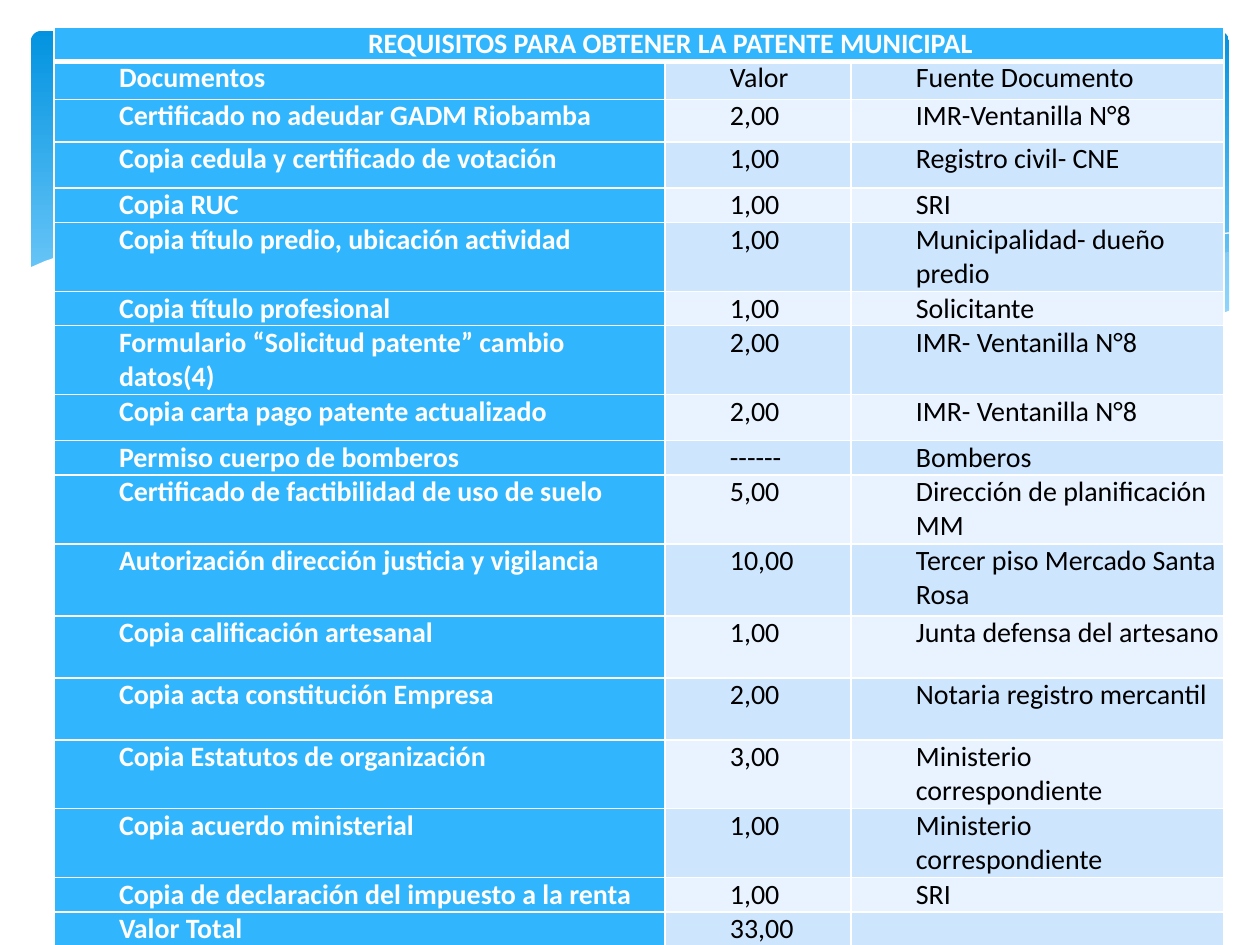
from typing import NamedTuple, Optional

from lxml import etree
from pptx import Presentation
from pptx import util as u
from pptx.dml.color import RGBColor
from pptx.enum import shapes, text
from pptx.oxml.ns import qn

EMU_PER_PX = 914400 / 126
FONT = "Calibri"
FONT_SIZE = u.Pt(16)
WHITE = RGBColor(0xFF, 0xFF, 0xFF)
BLACK = RGBColor(0, 0, 0)
BLUE = RGBColor(0x31, 0xB6, 0xFD)
BAND_DARK = RGBColor(0xCE, 0xE5, 0xFE)
BAND_LIGHT = RGBColor(0xE8, 0xF3, 0xFF)
BANNER_TOP = RGBColor(0x02, 0x93, 0xE0)
BANNER_BOTTOM = RGBColor(0x83, 0xD3, 0xFE)
WAVE = RGBColor(0xC6, 0xE7, 0xFC)


class Curve(NamedTuple):
    points: list[tuple[int, int]]
    fill: Optional[RGBColor] = None
    opacity: int = 100


class Row(NamedTuple):
    height: int
    document: str
    value: str
    source: str


CURVES = [
    Curve([(1229, 252), (1194, 257), (1142, 268), (1085, 281), (1014, 299), (919, 319),
           (833, 334), (888, 341), (954, 348), (1026, 350), (1087, 347), (1150, 336),
           (1196, 324), (1230, 311), (1230, 252)], WAVE, 29),
    Curve([(1125, 344), (1055, 334), (977, 320), (890, 302), (793, 280), (717, 262),
           (648, 249), (586, 241), (529, 236), (455, 233), (413, 236), (360, 241),
           (431, 251), (509, 266), (566, 280), (668, 302), (757, 321), (838, 335),
           (910, 345), (974, 349), (1031, 350), (1080, 349)], WAVE, 40),
    Curve([(389, 246), (433, 239), (505, 236), (591, 238), (672, 244), (766, 257),
           (876, 276), (1002, 304), (1143, 343)]),
    Curve([(772, 324), (876, 296), (978, 272), (1091, 251), (1164, 239), (1229, 233)]),
    Curve([(1231, 310), (1197, 323), (1147, 336), (1087, 345), (1019, 349), (937, 345),
           (842, 334), (730, 315), (599, 286), (493, 261), (398, 244), (315, 234),
           (243, 232), (184, 233), (120, 241), (74, 251), (45, 261), (29, 268),
           (29, 415), (1231, 415)], WHITE),
]

TITLE = "REQUISITOS PARA OBTENER LA PATENTE MUNICIPAL"
TITLE_HEIGHT = 34
COLUMN_WIDTHS = [611, 186, 373]
ROWS = [
    Row(38, "Documentos", "Valor", "Fuente Documento"),
    Row(43, "Certificado no adeudar GADM Riobamba", "2,00", "IMR-Ventanilla N°8"),
    Row(46, "Copia cedula y certificado de votación", "1,00", "Registro civil- CNE"),
    Row(34, "Copia RUC", "1,00", "SRI"),
    Row(69, "Copia título predio, ubicación actividad", "1,00", "Municipalidad- dueño predio"),
    Row(34, "Copia título profesional", "1,00", "Solicitante"),
    Row(69, "Formulario “Solicitud patente” cambio datos(4)", "2,00", "IMR- Ventanilla N°8"),
    Row(46, "Copia carta pago patente actualizado", "2,00", "IMR- Ventanilla N°8"),
    Row(34, "Permiso cuerpo de bomberos", "------", "Bomberos"),
    Row(69, "Certificado de factibilidad de uso de suelo", "5,00", "Dirección de planificación MM"),
    Row(72, "Autorización dirección justicia y vigilancia", "10,00", "Tercer piso Mercado Santa Rosa"),
    Row(62, "Copia calificación artesanal", "1,00", "Junta defensa del artesano"),
    Row(62, "Copia acta constitución Empresa", "2,00", "Notaria registro mercantil"),
    Row(69, "Copia Estatutos de organización", "3,00", "Ministerio correspondiente"),
    Row(69, "Copia acuerdo ministerial", "1,00", "Ministerio correspondiente"),
    Row(34, "Copia de declaración del impuesto a la renta", "1,00", "SRI"),
    Row(34, "Valor Total", "33,00", ""),
]


def px(length: int) -> int:
    return round(length * EMU_PER_PX)


def draw_banner(slide) -> None:
    shape = slide.shapes.add_shape(
        shapes.MSO_SHAPE.ROUNDED_RECTANGLE, px(31), px(31), px(1198), px(340))
    shape.shadow.inherit = False
    shape.adjustments[0] = 0.03
    shape.line.fill.background()
    shape.fill.gradient()
    shape.fill.gradient_angle = 270
    stops = shape.fill.gradient_stops
    for stop, position, color in zip(stops, (0, 0.9), (BANNER_TOP, BANNER_BOTTOM)):
        stop.position = position
        stop.color.rgb = color


def draw_curve(slide, curve: Curve) -> None:
    builder = slide.shapes.build_freeform(*curve.points[0], scale=EMU_PER_PX)
    builder.add_line_segments(curve.points[1:], close=curve.fill is not None)
    shape = builder.convert_to_shape()
    shape.shadow.inherit = False
    if curve.fill is None:
        shape.fill.background()
        shape.line.color.rgb = WHITE
        shape.line.width = 0
        return
    shape.line.fill.background()
    shape.fill.solid()
    shape.fill.fore_color.rgb = curve.fill
    if curve.opacity < 100:
        color = shape.fill._xPr.find(f".//{qn('a:srgbClr')}")
        etree.SubElement(color, qn("a:alpha"), val=str(curve.opacity * 1000))


def set_borders(cell, bottom_points: int) -> None:
    properties = cell._tc.get_or_add_tcPr()
    for side, points in (("L", 1), ("R", 1), ("T", 1), ("B", bottom_points)):
        line = etree.SubElement(properties, qn(f"a:ln{side}"), w=str(u.Pt(points)))
        fill = etree.SubElement(line, qn("a:solidFill"))
        etree.SubElement(fill, qn("a:srgbClr"), val=str(WHITE))


def fill_cell(cell, words: str, fill: RGBColor, color: RGBColor, bold: bool,
              centered: bool = False, bottom_points: int = 1) -> None:
    set_borders(cell, bottom_points)
    cell.fill.solid()
    cell.fill.fore_color.rgb = fill
    cell.margin_left = cell.margin_right = px(2)
    cell.margin_top = cell.margin_bottom = 0
    paragraph = cell.text_frame.paragraphs[0]
    paragraph.alignment = text.PP_ALIGN.CENTER if centered else text.PP_ALIGN.LEFT
    paragraph._p.get_or_add_pPr().set("marL", str(px(63)))
    if not words:
        etree.SubElement(paragraph._p, qn("a:endParaRPr"), sz=str(FONT_SIZE.centipoints))
        return
    run = paragraph.add_run()
    run.text = words
    run.font.name = FONT
    run.font.size = FONT_SIZE
    run.font.bold = bold
    run.font.color.rgb = color


def draw_table(slide) -> None:
    heights = [TITLE_HEIGHT] + [row.height for row in ROWS]
    table = slide.shapes.add_table(
        len(heights), len(COLUMN_WIDTHS), px(54), px(27),
        px(sum(COLUMN_WIDTHS)), px(sum(heights))).table
    for column, width in zip(table.columns, COLUMN_WIDTHS):
        column.width = px(width)
    for table_row, height in zip(table.rows, heights):
        table_row.height = px(height)
    table.cell(0, 0).merge(table.cell(0, 2))
    fill_cell(table.cell(0, 0), TITLE, BLUE, WHITE, True, centered=True, bottom_points=3)
    for index, row in enumerate(ROWS, start=1):
        band = BAND_DARK if index % 2 else BAND_LIGHT
        fill_cell(table.cell(index, 0), row.document, BLUE, WHITE, True)
        fill_cell(table.cell(index, 1), row.value, band, BLACK, False)
        fill_cell(table.cell(index, 2), row.source, band, BLACK, False)


def main() -> None:
    presentation = Presentation()
    presentation.slide_width = px(1260)
    presentation.slide_height = px(945)
    slide = presentation.slides.add_slide(presentation.slide_layouts[6])
    draw_banner(slide)
    for curve in CURVES:
        draw_curve(slide, curve)
    draw_table(slide)
    presentation.save("out.pptx")


if __name__ == "__main__":
    main()
